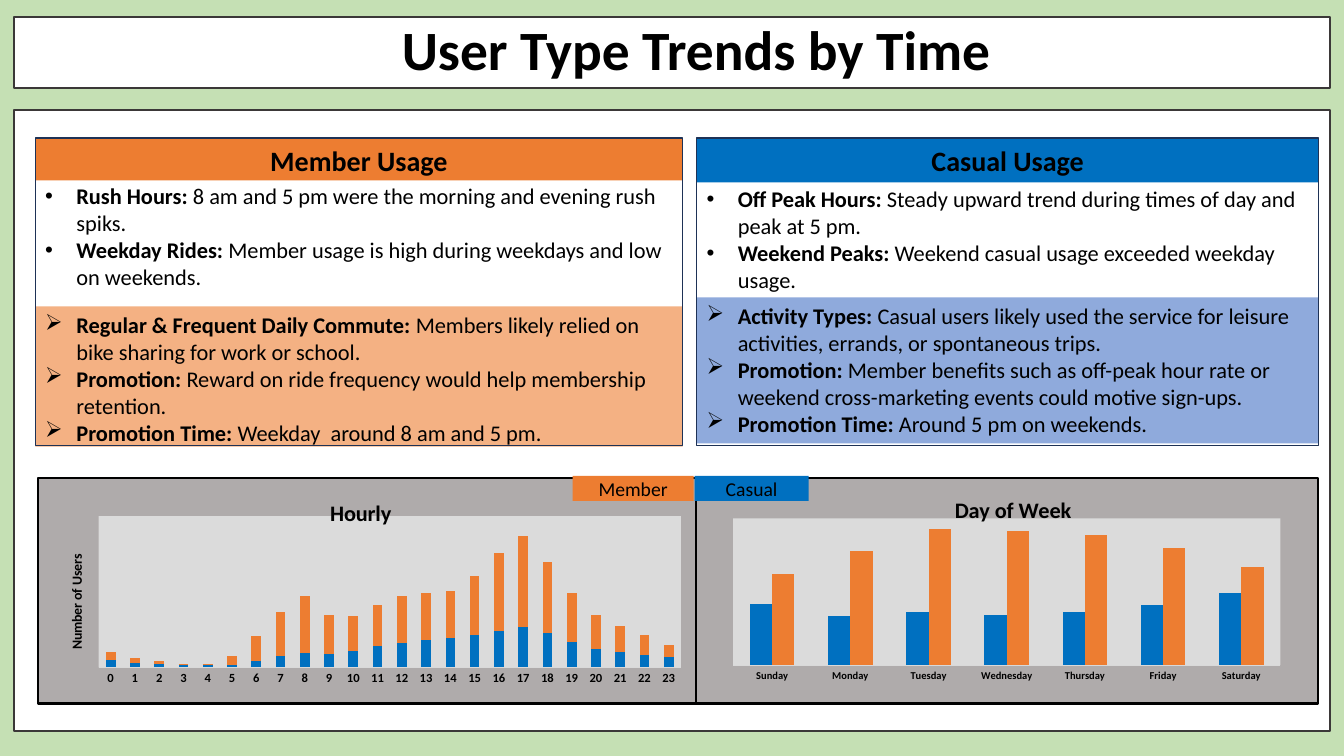
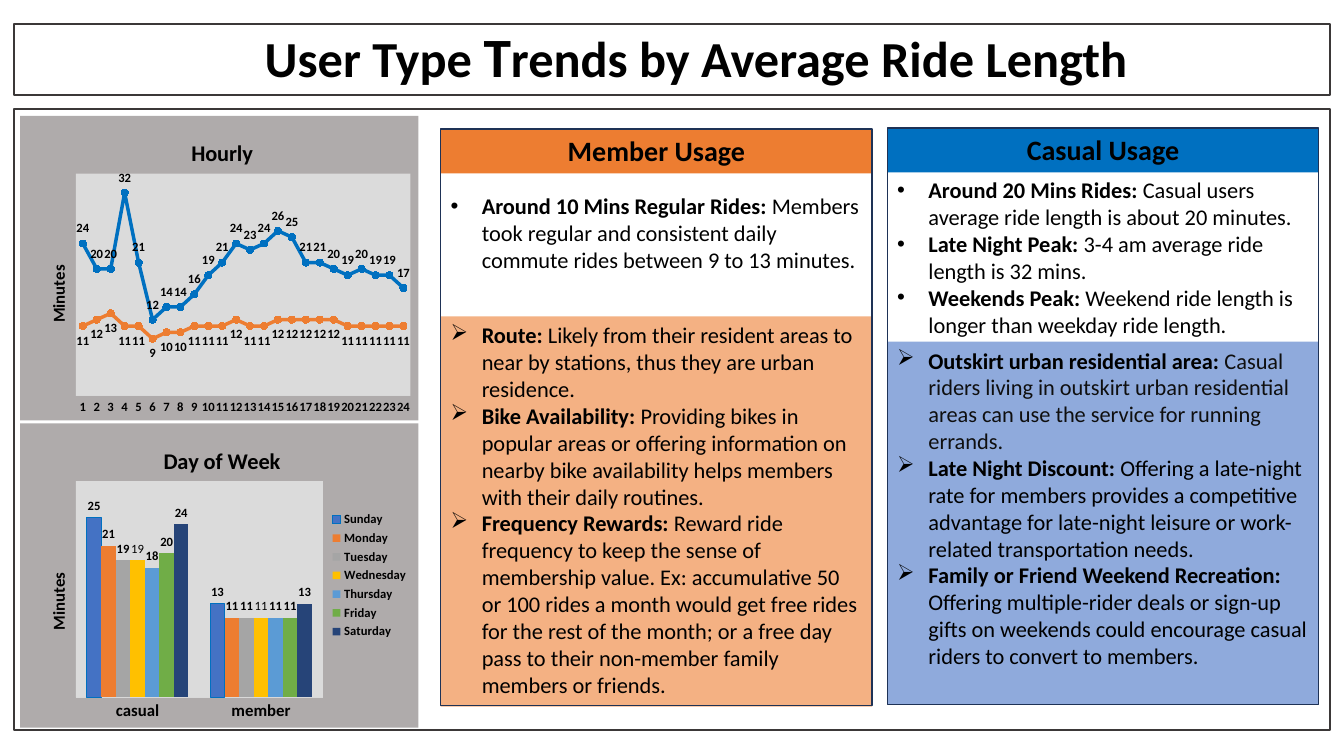
"""Build two slides on bike-share trends by user type."""
from lxml.etree import SubElement
from pptx import Presentation
from pptx.chart.data import CategoryChartData
from pptx.dml.color import RGBColor
from pptx.enum.chart import XL_CHART_TYPE, XL_LABEL_POSITION, XL_LEGEND_POSITION, XL_MARKER_STYLE, XL_TICK_MARK
from pptx.enum.shapes import MSO_SHAPE
from pptx.enum.text import MSO_ANCHOR, MSO_AUTO_SIZE, PP_ALIGN
from pptx.oxml import parse_xml
from pptx.oxml.ns import nsdecls, qn
from pptx.util import Inches, Pt

FONT = "Calibri"
C = {
    "black": "000000", "white": "FFFFFF", "green": "C5E0B4", "outline": "3B3838",
    "navy": "1E3256", "member": "ED7D31", "member_light": "F4B183",
    "casual": "0070C0", "casual_light": "8FAADC", "chart": "AFABAB",
    "plot": "DBDBDB", "axis": "D9D9D9", "soft_black": "0F0F0F",
    "Sunday": "4472C4", "Monday": "ED7D31", "Tuesday": "A5A5A5", "Wednesday": "FFC000",
    "Thursday": "5B9BD5", "Friday": "70AD47", "Saturday": "264478",
}
DAYS = ["Sunday", "Monday", "Tuesday", "Wednesday", "Thursday", "Friday", "Saturday"]


def add_box(s, box, text=(), fill=None, line=None, width=1, size=16, align=PP_ALIGN.LEFT,
            anchor=MSO_ANCHOR.TOP, bullet=None, sp=None):
    """Draw a box; each paragraph is a list of (text, bold, format) runs."""
    if sp is None:
        sp = s.shapes.add_shape(MSO_SHAPE.RECTANGLE, 0, 0, 0, 0)
        sp.shadow.inherit = False
    sp.left, sp.top, sp.width, sp.height = map(Inches, box)
    if fill:
        sp.fill.solid()
        sp.fill.fore_color.rgb = RGBColor.from_string(C[fill])
    else:
        sp.fill.background()
    if line:
        sp.line.color.rgb = RGBColor.from_string(C[line])
        sp.line.width = Pt(width)
    else:
        sp.line.fill.background()
    tf = sp.text_frame
    tf.word_wrap = True
    tf.auto_size = MSO_AUTO_SIZE.NONE
    tf.vertical_anchor = anchor
    for i, runs in enumerate(text):
        p = tf.add_paragraph() if i else tf.paragraphs[0]
        p.alignment = align
        if bullet:
            pPr = p._p.get_or_add_pPr()
            pPr.set("marL", str(Inches(0.31)))
            pPr.set("indent", str(-Inches(0.31)))
            SubElement(pPr, qn("a:buFont")).set("typeface", "Arial" if bullet == "•" else "Wingdings")
            SubElement(pPr, qn("a:buChar")).set("char", "•" if bullet == "•" else "Ø")
        for content, bold, fmt in runs:
            r = p.add_run()
            r.text = content
            r.font.name = FONT
            r.font.size = Pt(fmt.get("size", size))
            r.font.bold = bold
            r.font.color.rgb = RGBColor.from_string(C[fmt.get("color", "black")])
    return sp


def add_chart(s, kind, box, title, title_at, plot_at, cats, series, top, cat_size,
              axis_title=None, axis_size=12, axis_at=None, border=False, labels=False, legend=False):
    """Add a chart with a grey ground, a placed title and a hidden value axis."""
    data = CategoryChartData()
    data.categories = cats
    for name, values in series.items():
        data.add_series(name.title(), values)
    chart = s.shapes.add_chart(kind, *map(Inches, box), data).chart
    chart.font.name = FONT
    chart.font.size = Pt(10)
    chart.font.color.rgb = RGBColor.from_string(C["black"])
    chart.has_title = True
    chart.has_legend = legend
    if legend:
        chart.legend.position = XL_LEGEND_POSITION.RIGHT
        chart.legend.include_in_layout = False
        chart.legend.font.size = Pt(9)
        chart.legend.font.bold = True
        chart.legend.font.name = FONT

    cat, val = chart.category_axis, chart.value_axis
    cat.major_tick_mark = XL_TICK_MARK.NONE
    cat.format.line.color.rgb = RGBColor.from_string(C["axis"])
    cat.format.line.width = Pt(0.75)
    cat.tick_labels.font.size = Pt(cat_size)
    cat.tick_labels.font.bold = True
    cat.tick_labels.font.name = FONT
    val.has_major_gridlines = False
    val.minimum_scale, val.maximum_scale = 0, top
    val.visible = False
    if val._element.find(qn("c:crossBetween")) is None:
        val._element.find(qn("c:crosses")).addnext(
            parse_xml(f'<c:crossBetween {nsdecls("c")} val="between"/>'))

    area = chart._chartSpace.find(qn("c:chart")).find(qn("c:plotArea"))
    places = [(area, plot_at)]
    titles = [(chart.chart_title, title, 16, title_at)]
    if axis_title:
        titles.append((val.axis_title, axis_title, axis_size, axis_at))
    for heading, text, size, place in titles:
        tf = heading.text_frame
        r = tf.paragraphs[0].add_run()
        r.text = text
        r.font.name = FONT
        r.font.size = Pt(size)
        r.font.bold = True
        r.font.color.rgb = RGBColor.from_string(C["black"])
        if heading is not chart.chart_title and text == axis_title:
            tf._txBody.bodyPr.set("rot", "-5400000")
            tf._txBody.bodyPr.set("vert", "horz")
        places.append((heading._element, place))
    for el, place in places:
        for old in el.findall(qn("c:layout")):
            el.remove(old)
        layout = parse_xml(f'<c:layout {nsdecls("c")}/>')
        manual = SubElement(layout, qn("c:manualLayout"))
        if el is area:
            SubElement(manual, qn("c:layoutTarget")).set("val", "inner")
        for mode in ("xMode", "yMode"):
            SubElement(manual, qn(f"c:{mode}")).set("val", "edge")
        for key, value in zip("xywh", place):
            SubElement(manual, qn(f"c:{key}")).set("val", str(value))
        if el is area:
            el.insert(0, layout)
        else:
            el.find(qn("c:tx")).addnext(layout)

    fill = '<c:spPr {}><a:solidFill><a:srgbClr val="{}"/></a:solidFill>{}</c:spPr>'
    edge = '<a:ln><a:noFill/></a:ln>'
    area.append(parse_xml(fill.format(nsdecls("c", "a"), C["plot"], edge)))
    if border:
        edge = f'<a:ln w="{Pt(1.5)}"><a:solidFill><a:srgbClr val="{C["black"]}"/></a:solidFill></a:ln>'
    area.getparent().addnext(parse_xml(fill.format(nsdecls("c", "a"), C["chart"], edge)))

    plot = chart.plots[0]
    plot.vary_by_categories = False
    is_line = kind == XL_CHART_TYPE.LINE_MARKERS
    if not is_line:
        plot.gap_width = 150
        plot.overlap = 100 if kind == XL_CHART_TYPE.COLUMN_STACKED else 0
    for name, ser in zip(series, plot.series):
        color = RGBColor.from_string(C[name])
        if is_line:
            ser.smooth = False
            ser.format.line.color.rgb = color
            ser.format.line.width = Pt(2.5)
            ser.marker.style = XL_MARKER_STYLE.CIRCLE
            ser.marker.size = 5
            ser.marker.format.fill.solid()
            ser.marker.format.fill.fore_color.rgb = color
            ser.marker.format.line.color.rgb = color
            position = XL_LABEL_POSITION.ABOVE if name == "casual" else XL_LABEL_POSITION.BELOW
        else:
            ser.format.fill.solid()
            ser.format.fill.fore_color.rgb = color
            position = XL_LABEL_POSITION.OUTSIDE_END
        if name == "Sunday":
            ser.format.line.color.rgb = RGBColor.from_string(C["casual"])
            ser.format.line.width = Pt(0.75)
        if labels:
            dl = ser.data_labels
            dl.show_value = True
            dl.number_format = "#,##0"
            dl.number_format_is_linked = False
            dl.position = position
            dl.font.size = Pt(9)
            dl.font.bold = name != "Wednesday"
            dl.font.name = FONT
            dl.font.color.rgb = RGBColor.from_string(C["black"])


prs = Presentation()
prs.slide_width, prs.slide_height = Inches(13.33), Inches(7.5)

pages = [
    ("green", 0.17, 1.09, [("User Type Trends by Time", True, {"size": 39.6})]),
    ("white", 0.24, 1.08, [("User Type ", True, {"size": 36}), ("T", True, {"size": 39.6}),
                           ("rends by Average Ride Length", True, {"size": 36})]),
]
slides = []
for ground, title_top, body_top, title in pages:
    s = prs.slides.add_slide(prs.slide_layouts[5])
    s.background.fill.solid()
    s.background.fill.fore_color.rgb = RGBColor.from_string(C[ground])
    sp = add_box(s, (0.14, title_top, 13.05, 0.7), [title], fill="white", line="outline", width=1.5,
                 align=PP_ALIGN.CENTER, anchor=MSO_ANCHOR.MIDDLE, sp=s.shapes.title)
    sp.text_frame.margin_left = Inches(0.58)
    sp.text_frame.paragraphs[0].line_spacing = 0.9
    add_box(s, (0.14, body_top, 13.05, 6.16), fill="white", line="outline", width=1.5)
    slides.append(s)
time_slide, length_slide = slides

add_chart(time_slide, XL_CHART_TYPE.COLUMN_STACKED, (0.37, 4.73, 6.66, 2.26), "Hourly",
          (0.43, 0.07), (0.09, 0.17, 0.87, 0.67), [str(h) for h in range(24)],
          {"casual": [8, 5, 4, 2, 2, 3, 7, 12, 16, 15, 18, 23, 27, 30, 32, 36, 40, 44, 38, 28, 20, 17, 14, 11],
           "member": [9, 5, 3, 2, 2, 9, 27, 49, 62, 42, 38, 45, 51, 52, 52, 64, 85, 100, 78, 54, 37, 28, 21, 14]},
          top=166, cat_size=9, axis_title="Number of Users", axis_size=10, axis_at=(0.04, 0.33), border=True)
add_chart(time_slide, XL_CHART_TYPE.COLUMN_CLUSTERED, (6.89, 4.73, 6.19, 2.26), "Day of Week",
          (0.41, 0.06), (0.06, 0.18, 0.88, 0.65), DAYS,
          {"casual": [45, 36, 39, 37, 39, 44, 53], "member": [67, 84, 100, 99, 96, 86, 72]},
          top=108, cat_size=7.5, border=True)
for name, left, width in (("member", 5.68, 1.2), ("casual", 6.89, 1.13)):
    add_box(time_slide, (left, 4.72, width, 0.25), [[(name.title(), False, {})]], fill=name, size=14,
            align=PP_ALIGN.CENTER, anchor=MSO_ANCHOR.MIDDLE)

add_chart(length_slide, XL_CHART_TYPE.LINE_MARKERS, (0.2, 1.15, 3.95, 3.02), "Hourly",
          (0.42, 0.06), (0.14, 0.19, 0.84, 0.73), [str(h) for h in range(1, 25)],
          {"casual": [24, 20, 20, 32, 21, 12, 14, 14, 16, 19, 21, 24, 23, 24, 26, 25, 21, 21, 20, 19, 20, 19, 19, 17],
           "member": [11, 12, 13, 11, 11, 9, 10, 10, 11, 11, 11, 12, 11, 11, 12, 12, 12, 12, 12, 11, 11, 11, 11, 11]},
          top=35, cat_size=9, axis_title="Minutes", axis_at=(0.06, 0.48), labels=True)
add_chart(length_slide, XL_CHART_TYPE.COLUMN_CLUSTERED, (0.2, 4.2, 3.95, 3.02), "Day of Week",
          (0.35, 0.06), (0.14, 0.19, 0.62, 0.71), ["casual", "member"],
          dict(zip(DAYS, zip([25, 21, 19, 19, 18, 20, 24], [13, 11, 11, 11, 11, 11, 13]))),
          top=30, cat_size=12, axis_title="Minutes", axis_at=(0.06, 0.48), labels=True, legend=True)

panels = [
    (time_slide, "member", (0.35, 1.37, 6.42, 3.05), 0.42, (1.76, 1.13), (3.04, 1.39),
     [("Rush Hours: ", "8 am and 5 pm were the morning and evening rush spiks."),
      ("Weekday Rides: ", "Member usage is high during weekdays and low on weekends.")],
     [("Regular & Frequent Daily Commute: ", "Members likely relied on bike sharing for work or school."),
      ("Promotion: ", "Reward on ride frequency would help membership retention."),
      ("Promotion Time: ", "Weekday  around 8 am and 5 pm.")]),
    (time_slide, "casual", (6.91, 1.37, 6.17, 3.05), 0.44, (1.79, 1.18), (2.95, 1.45),
     [("Off Peak Hours:", " Steady upward trend during times of day and peak at 5 pm."),
      ("Weekend Peaks:", " Weekend casual usage exceeded weekday usage.")],
     [("Activity Types:", " Casual users likely used the service for leisure activities, errands, "
       "or spontaneous trips."),
      ("Promotion:", " Member benefits such as off-peak hour rate or weekend cross-marketing events "
       "could motive sign-ups."),
      ("Promotion Time: ", "Around 5 pm on weekends.")]),
    (length_slide, "member", (4.37, 1.28, 4.28, 5.72), 0.44, (1.86, 0.91), (3.14, 3.87),
     [("Around 10 Mins Regular Rides:", " Members took regular and consistent daily commute rides "
       "between 9 to 13 minutes.")],
     [("Route:", " Likely from their resident areas to near by stations, thus they are urban residence."),
      ("Bike Availability:", " Providing bikes in popular areas or offering information on nearby bike "
       "availability helps members with their daily routines."),
      ("Frequency Rewards:", " Reward ride frequency to keep the sense of membership value. "
       "Ex: accumulative 50 or 100 rides a month would get free rides for the rest of the month; "
       "or a free day pass to their non-member family members or friends.")]),
    (length_slide, "casual", (8.8, 1.27, 4.28, 5.72), 0.44, (1.7, 1.72), (3.39, 3.6),
     [("Around 20 Mins Rides: ", "Casual users average ride length is about 20 minutes."),
      ("Late Night Peak:", " 3-4 am average ride length is 32 mins."),
      ("Weekends Peak: ", "Weekend ride length is longer than weekday ride length.")],
     [("Outskirt urban residential area: ", "Casual riders living in outskirt urban residential areas "
       "can use the service for running errands.", {"color": "soft_black"}),
      ("Late Night Discount: ", "Offering a late-night rate for members provides a competitive advantage "
       "for late-night leisure or work-related transportation needs."),
      ("Family or Friend Weekend Recreation: ", "Offering multiple-rider deals or sign-up gifts on "
       "weekends could encourage casual riders to convert to members.")]),
]
for s, user, frame, head_height, facts_at, ideas_at, facts, ideas in panels:
    left, top, width, height = frame
    add_box(s, (left, top, width, head_height), [[(f"{user.title()} Usage", True, {})]],
            fill=user, size=20, align=PP_ALIGN.CENTER)
    for (y, h), items, fill, bullet in ((facts_at, facts, None, "•"), (ideas_at, ideas, f"{user}_light", "➢")):
        text = [[(lead, True, {}), (body, False, fmt[0] if fmt else {})] for lead, body, *fmt in items]
        add_box(s, (left, y, width, h), text, fill=fill, bullet=bullet)
    add_box(s, frame, line="navy")

prs.save("out.pptx")
